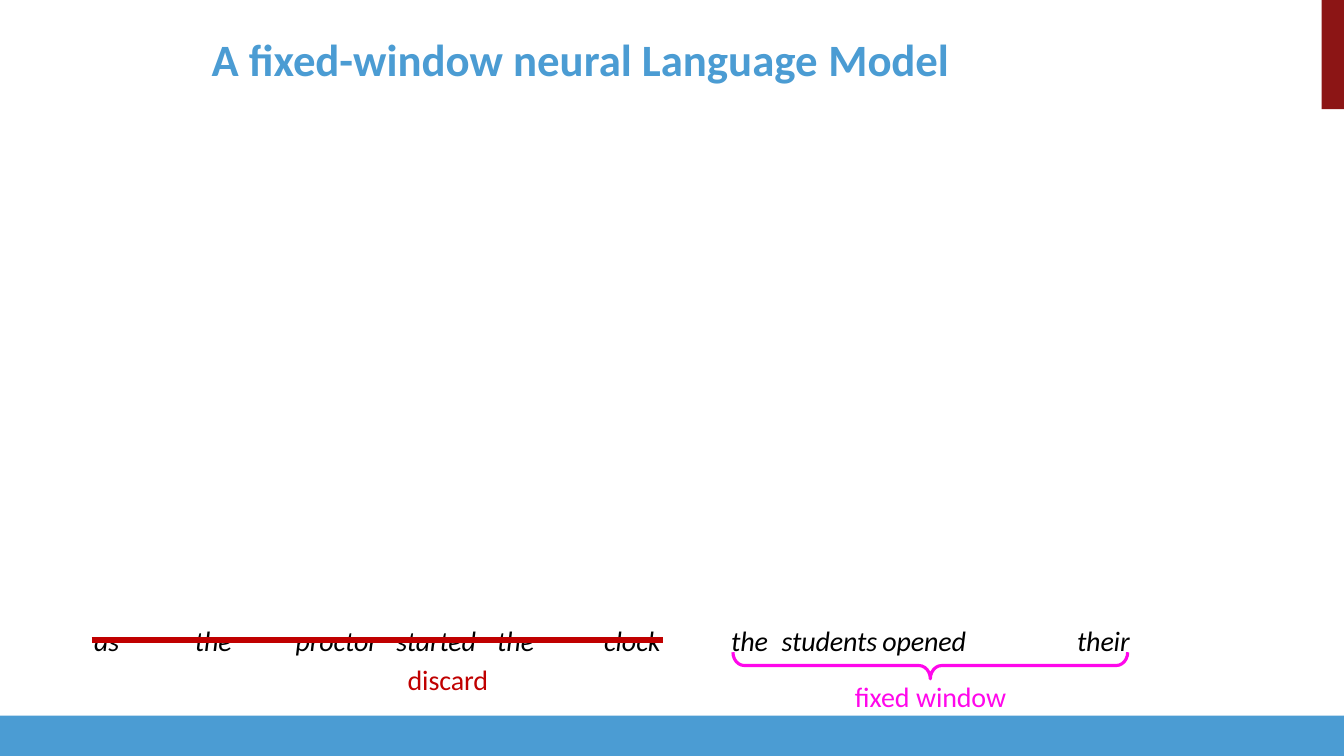
from lxml.etree import SubElement
from pptx import Presentation
from pptx.dml.color import RGBColor
from pptx.enum.shapes import MSO_CONNECTOR as CONN, MSO_SHAPE as SHAPE
from pptx.enum.text import MSO_ANCHOR as ANCHOR, MSO_AUTO_SIZE as AUTO, PP_ALIGN as ALIGN
from pptx.oxml.ns import qn
from pptx.util import Pt

WHITE = RGBColor(0xFF, 0xFF, 0xFF)
BLACK = RGBColor(0, 0, 0)
BLUE = RGBColor(0x4B, 0x9C, 0xD3)
CARDINAL = RGBColor(0x8C, 0x15, 0x15)
RED = RGBColor(0xC0, 0, 0)
MAGENTA = RGBColor(0xFF, 0x07, 0xEB)
FONT = "Calibri"
WIDTH, HEIGHT = 960, 540


def add_bar(s, x, y, w, h, color):
    """Draw a plain filled bar."""
    sp = s.shapes.add_shape(SHAPE.RECTANGLE, Pt(x), Pt(y), Pt(w), Pt(h))
    sp.shadow.inherit = False
    sp.fill.solid()
    sp.fill.fore_color.rgb = color
    sp.line.fill.background()


def set_frame(tf):
    """Give a text frame tight insets and top anchoring."""
    tf.margin_left = tf.margin_right = tf.margin_bottom = 0
    tf.margin_top = Pt(2)
    tf.vertical_anchor = ANCHOR.TOP
    tf.auto_size = AUTO.NONE
    tf.word_wrap = True


def add_run(p, text, size, color, bold=False, italic=False, spacing=0):
    """Append one formatted run, with letter spacing in points."""
    r = p.add_run()
    r.text = text
    r.font.name, r.font.size = FONT, Pt(size)
    r.font.bold, r.font.italic = bold, italic
    r.font.color.rgb = color
    r.font._element.set("spc", str(round(spacing * 100)))


def set_indent(p, left, tabs=()):
    """Set the left indent and the tab stops of a paragraph."""
    pPr = p._p.get_or_add_pPr()
    pPr.set("marL", str(Pt(left)))
    pPr.set("indent", "0")
    if tabs:
        tab_list = SubElement(pPr, qn("a:tabLst"))
        for pos in tabs:
            SubElement(tab_list, qn("a:tab"), pos=str(Pt(pos)), algn="l")


def add_text(s, x, y, w, h, text, color=BLACK, italic=True, tabs=()):
    """Add a text box with one paragraph and return its text frame."""
    tf = s.shapes.add_textbox(Pt(x), Pt(y), Pt(w), Pt(h)).text_frame
    set_frame(tf)
    p = tf.paragraphs[0]
    set_indent(p, 1, tabs)
    add_run(p, text, 20, color, italic=italic, spacing=-0.1)
    return tf


def add_title(s, x, y, w, h):
    """Fill the title placeholder."""
    sp = s.shapes.title
    sp.left, sp.top, sp.width, sp.height = Pt(x), Pt(y), Pt(w), Pt(h)
    set_frame(sp.text_frame)
    p = sp.text_frame.paragraphs[0]
    p.alignment = ALIGN.LEFT
    set_indent(p, 113)
    for text, spacing in (("A", 0), (" fixed-", -0.1),
                          ("window neural Language ", 0), ("Model", -0.1)):
        add_run(p, text, 32, BLUE, bold=True, spacing=spacing)


def add_discarded(s, x, y, w):
    """Place the struck-out words and their label."""
    for dx, width, text, tabs in ((0, 24, "as", ()), (72, 32, "the", ()),
                                  (144, 173, "proctor\tstarted\tthe", (72.7, 144.7)),
                                  (364.4, 44, "clock", ())):
        add_text(s, x + dx, y, width, 26, text, tabs=tabs)
    ln = s.shapes.add_connector(CONN.STRAIGHT, Pt(x - 0.7), Pt(y + 13.7),
                                Pt(x - 0.7 + w), Pt(y + 13.7))
    SubElement(ln._element.spPr, qn("a:effectLst"))
    ln.line.color.rgb = RED
    ln.line.width = Pt(4.5)
    add_text(s, x + 224, y + 27.4, 62, 26, "discard", RED, italic=False)


def add_window(s, x, y, w):
    """Place the words of the fixed window, the brace and the label."""
    depth = 19
    brace = s.shapes.add_shape(SHAPE.RIGHT_BRACE, Pt(x + 2.2 + (w - depth) / 2),
                               Pt(y + 22.4 + (depth - w) / 2), Pt(depth), Pt(w))
    brace.rotation = 90
    brace.adjustments[0] = 0.43
    brace.shadow.inherit = False
    brace.fill.background()
    brace.line.color.rgb = MAGENTA
    brace.line.width = Pt(2.25)
    tf = add_text(s, x, y, 212, 66, "the\tstudents\topened", tabs=(61.2, 151.2))
    p = tf.add_paragraph()
    p.space_before = Pt(15.6)
    set_indent(p, 89.3)
    add_run(p, "fixed ", 20, MAGENTA)
    add_run(p, "window", 20, MAGENTA, spacing=-0.1)
    add_text(s, x + 247, y, 60, 26, "their")


def main():
    """Build the slide and save it."""
    prs = Presentation()
    prs.slide_width, prs.slide_height = Pt(WIDTH), Pt(HEIGHT)
    s = prs.slides.add_slide(prs.slide_layouts[5])
    s.background.fill.solid()
    s.background.fill.fore_color.rgb = WHITE
    add_bar(s, WIDTH - 16, 0, 16, 78, CARDINAL)
    add_bar(s, 0, HEIGHT - 28.8, WIDTH, 28.8, BLUE)
    add_title(s, 38.2, 20.9, 872, 39)
    add_discarded(s, 66.2, 443.5, 408)
    add_window(s, 521.3, 443.5, 282)
    prs.save("out.pptx")


if __name__ == "__main__":
    main()
